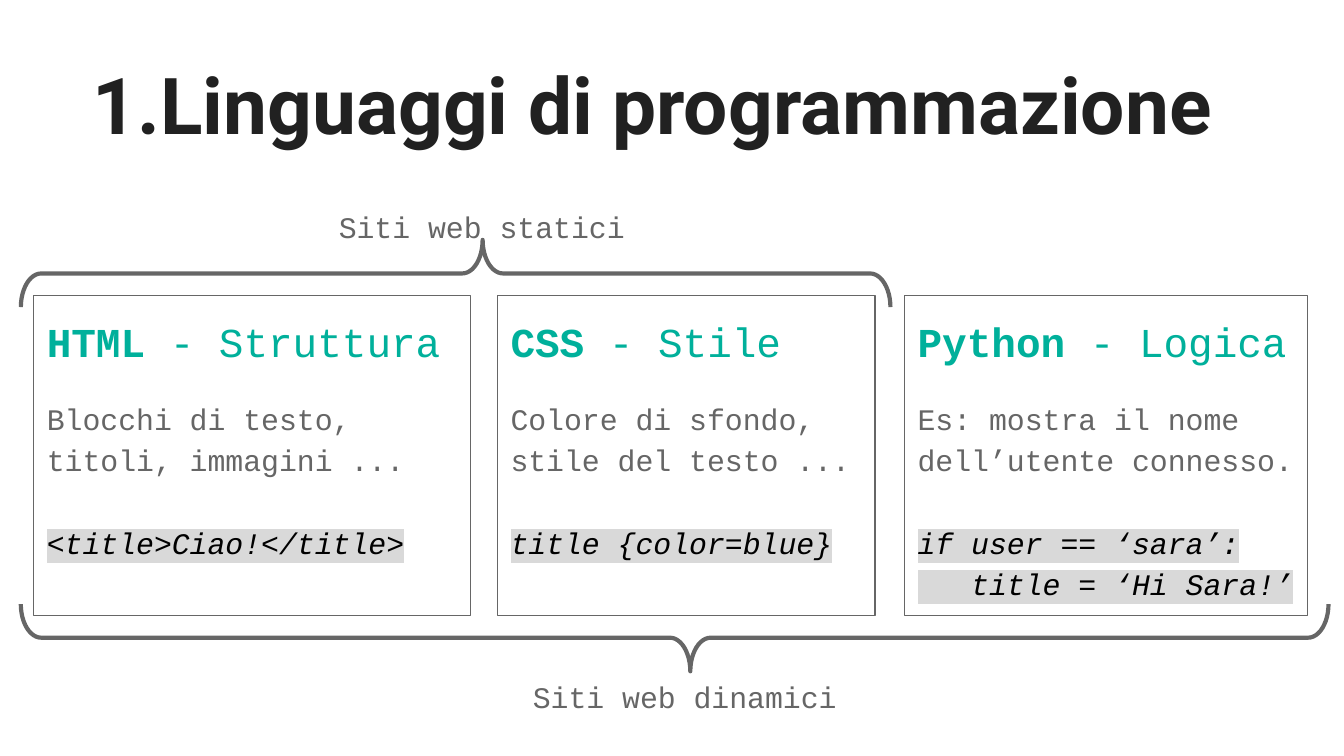
from lxml.etree import SubElement
from pptx import Presentation
from pptx.dml.color import RGBColor
from pptx.enum.shapes import MSO_SHAPE
from pptx.enum.text import MSO_ANCHOR, MSO_AUTO_SIZE, PP_ALIGN
from pptx.oxml.ns import qn
from pptx.util import Inches, Pt

INK = RGBColor(0x21, 0x21, 0x21)
GRAY = RGBColor(0x66, 0x66, 0x66)
TEAL = RGBColor(0x00, 0xB0, 0x9B)
BLACK = RGBColor(0x00, 0x00, 0x00)
WHITE = RGBColor(0xFF, 0xFF, 0xFF)
CODE_BACK = RGBColor(0xD9, 0xD9, 0xD9)


class SlideBuilder:
    title_font = "Roboto"
    body_font = "Courier New"
    body_size = 16

    def __init__(self, page):
        self.page = page

    def style(self, span, font, size, color, bold=False, italic=False):
        span.font.name = font
        span.font.size = Pt(size)
        span.font.color.rgb = color
        span.font.bold = bold
        span.font.italic = italic

    def highlight(self, span, color):
        properties = span._r.get_or_add_rPr()
        mark = SubElement(properties, qn("a:highlight"))
        SubElement(mark, qn("a:srgbClr")).set("val", str(color))
        properties.find(qn("a:solidFill")).addnext(mark)

    def frame(self, shape, right=0.1):
        frame = shape.text_frame
        frame.word_wrap = True
        frame.auto_size = MSO_AUTO_SIZE.NONE
        frame.vertical_anchor = MSO_ANCHOR.TOP
        frame.margin_left = frame.margin_top = frame.margin_bottom = Inches(0.1)
        frame.margin_right = Inches(right)
        return frame

    def space(self, para, after, align=PP_ALIGN.LEFT):
        para.alignment = align
        para.line_spacing = 1.15
        para.space_before = Pt(0)
        para.space_after = Pt(after)

    def title(self, text, left, top, width, height):
        shape = self.page.shapes.title
        shape.left, shape.top = Inches(left), Inches(top)
        shape.width, shape.height = Inches(width), Inches(height)
        frame = self.frame(shape)
        frame.text = text
        para = frame.paragraphs[0]
        para.alignment = PP_ALIGN.LEFT
        self.style(para.runs[0], self.title_font, 42, INK, bold=True)
        # Automatic number in the title's font and colour
        properties = para._p.get_or_add_pPr()
        properties.set("marL", str(Inches(0.5)))
        properties.set("indent", str(Inches(-0.25)))
        color = SubElement(properties, qn("a:buClr"))
        SubElement(color, qn("a:srgbClr")).set("val", str(INK))
        SubElement(properties, qn("a:buSzPts")).set("val", "4200")
        SubElement(properties, qn("a:buFont")).set("typeface", self.title_font)
        SubElement(properties, qn("a:buAutoNum")).set("type", "arabicPeriod")

    def card(self, language, role, description, code, left, top, width, height):
        shape = self.page.shapes.add_shape(
            MSO_SHAPE.RECTANGLE, Inches(left), Inches(top), Inches(width), Inches(height))
        shape.shadow.inherit = False
        shape.fill.solid()
        shape.fill.fore_color.rgb = WHITE
        shape.line.color.rgb = GRAY
        shape.line.width = Pt(0.75)
        frame = self.frame(shape, right=0.05)
        # Heading
        heading = frame.paragraphs[0]
        self.space(heading, 16)
        for text, bold in ((f"{language} ", True), (f"- {role}", False)):
            span = heading.add_run()
            span.text = text
            self.style(span, self.body_font, 22, TEAL, bold=bold)
        # Description, then one line of air
        para = frame.add_paragraph()
        para.text = description
        self.space(para, 22)
        self.style(para.runs[0], self.body_font, self.body_size, GRAY)
        # Code sample
        for line in code:
            para = frame.add_paragraph()
            para.text = line
            self.space(para, 0)
            self.style(para.runs[0], self.body_font, self.body_size, BLACK, italic=True)
            self.highlight(para.runs[0], CODE_BACK)

    def brace(self, left, top, width, height, rotation, point):
        shape = self.page.shapes.add_shape(
            MSO_SHAPE.LEFT_BRACE, Inches(left), Inches(top), Inches(width), Inches(height))
        shape.shadow.inherit = False
        shape.rotation = rotation
        shape.adjustments[0] = 0.304
        shape.adjustments[1] = point
        shape.fill.background()
        shape.line.color.rgb = GRAY
        shape.line.width = Pt(2.25)

    def label(self, text, left, top, width, height):
        box = self.page.shapes.add_textbox(
            Inches(left), Inches(top), Inches(width), Inches(height))
        frame = self.frame(box)
        frame.text = text
        para = frame.paragraphs[0]
        self.space(para, 16, PP_ALIGN.CENTER)
        self.style(para.runs[0], self.body_font, self.body_size, GRAY)


def main():
    deck = Presentation()
    # Widescreen, 16:9
    deck.slide_width = Inches(10)
    deck.slide_height = deck.slide_width * 9 // 16
    builder = SlideBuilder(deck.slides.add_slide(deck.slide_layouts[5]))
    builder.title("Linguaggi di programmazione", 0.34, 0.32, 9.32, 0.88)

    # Language cards: words, code, left edge and width
    cards = [
        ("HTML", "Struttura", "Blocchi di testo, titoli, immagini ...",
         ["<title>Ciao!</title>"], 0.25, 3.25),
        ("CSS", "Stile", "Colore di sfondo, stile del testo ...",
         ["title {color=blue}"], 3.7, 2.81),
        ("Python", "Logica", "Es: mostra il nome dell’utente connesso.",
         ["if user == ‘sara’:", "   title = ‘Hi Sara!’"], 6.73, 3),
    ]
    for language, role, description, code, left, width in cards:
        builder.card(language, role, description, code, left, 2.2, width, 2.38)

    # Static sites above, dynamic sites below
    builder.brace(3.14, -1.2, 0.5, 6.47, 90, 0.469)
    builder.label("Siti web statici", 2.21, 1.41, 2.75, 0.38)
    builder.brace(4.77, -0.12, 0.5, 9.73, 270, 0.512)
    builder.label("Siti web dinamici", 3.62, 4.91, 2.95, 0.38)

    deck.save("out.pptx")


if __name__ == "__main__":
    main()
